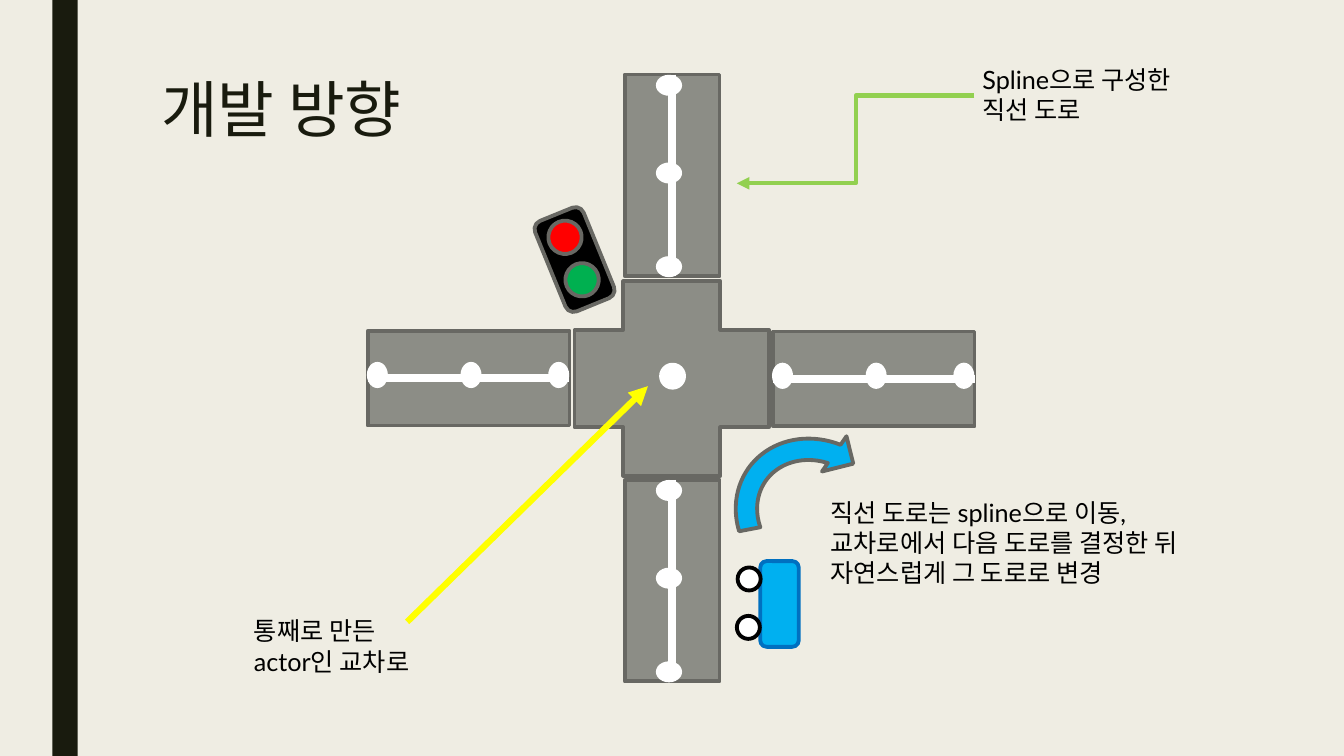
import pptx
import pptx.dml.color
import pptx.enum.shapes
import pptx.enum.text
import pptx.oxml.xmlchemy
import pptx.util

SHAPE = pptx.enum.shapes.MSO_SHAPE
CONNECTOR = pptx.enum.shapes.MSO_CONNECTOR
Cm = pptx.util.Cm

PAPER, INK = "EFEDE3", "191B0E"
ASPHALT, EDGE = "8C8D86", "686863"
WHITE, BLACK, SKY = "FFFFFF", "000000", "00B0F0"


def color(value):
    return pptx.dml.color.RGBColor.from_string(value)


class Sketch:
    """Style and current slide; all positions and sizes are centimetres."""

    font = "Lato"
    outline = 2.75

    def __init__(self, page):
        self.page = page
        page.background.fill.solid()
        page.background.fill.fore_color.rgb = color(PAPER)

    def shape(self, kind, left, top, width, height, fill, line=None, turn=0):
        shape = self.page.shapes.add_shape(
            kind, Cm(left), Cm(top), Cm(width), Cm(height))
        shape.shadow.inherit = False
        shape.rotation = turn
        shape.fill.solid()
        shape.fill.fore_color.rgb = color(fill)
        if line:
            shape.line.color.rgb = color(line)
            shape.line.width = pptx.util.Pt(self.outline)
        else:
            shape.line.fill.background()
        return shape

    def line(self, start, end, stroke, width, kind=CONNECTOR.STRAIGHT, arrow=False):
        points = [Cm(value) for value in (*start, *end)]
        line = self.page.shapes.add_connector(kind, *points)
        line.line.color.rgb = color(stroke)
        line.line.width = pptx.util.Pt(width)
        if arrow:
            head = pptx.oxml.xmlchemy.OxmlElement("a:tailEnd")
            head.set("type", "triangle")
            line.get_or_add_ln().append(head)
        line._element.spPr.append(pptx.oxml.xmlchemy.OxmlElement("a:effectLst"))

    def text(self, left, top, width, height, words, size=18, ink=BLACK,
             wrap=False, grow=True, spacing=None):
        box = self.page.shapes.add_textbox(Cm(left), Cm(top), Cm(width), Cm(height))
        frame = box.text_frame
        frame.text = words
        frame.word_wrap = wrap
        if grow:
            frame.auto_size = pptx.enum.text.MSO_AUTO_SIZE.SHAPE_TO_FIT_TEXT
        for para in frame.paragraphs:
            if spacing:
                para.line_spacing = spacing
            for span in para.runs:
                span.font.name = self.font
                span.font.size = pptx.util.Pt(size)
                span.font.color.rgb = color(ink)

    def road(self, x, y, across=False):
        """Straight road centred on x, y, with its spline and three points."""
        width, length = 2.39, 5.08
        dot_width, dot_height = 0.66, 0.53
        turn = 90 if across else 0
        self.shape(SHAPE.RECTANGLE, x - width / 2, y - length / 2,
                   width, length, ASPHALT, EDGE, turn)
        reach_x, reach_y = (length / 2, 0) if across else (0, length / 2)
        self.line((x - reach_x, y - reach_y), (x + reach_x, y + reach_y), WHITE, 6)
        side = -0.08
        for along in (-2.27, -0.06, 2.3):
            shift_x, shift_y = (-along, side) if across else (side, along)
            self.shape(SHAPE.OVAL, x + shift_x - dot_width / 2,
                       y + shift_y - dot_height / 2,
                       dot_width, dot_height, WHITE, turn=turn)


def main():
    deck = pptx.Presentation()
    deck.slide_width, deck.slide_height = Cm(33.87), Cm(19.05)
    sketch = Sketch(deck.slides.add_slide(deck.slide_layouts[6]))

    # Side band and title
    sketch.shape(SHAPE.RECTANGLE, 1.32, 0, 0.64, 19.05, INK)
    sketch.text(3.81, 1.9, 26.67, 4.11, "개발 방향", size=44, ink=INK,
                wrap=True, grow=False, spacing=0.89)

    # Four roads around the intersection
    for y in (4.42, 14.63):
        sketch.road(16.94, y)
    for x, y in ((22.02, 9.55), (11.81, 9.53)):
        sketch.road(x, y, across=True)
    sketch.shape(SHAPE.CROSS, 14.48, 7.09, 4.9, 4.9, ASPHALT, EDGE)
    sketch.shape(SHAPE.OVAL, 16.66, 9.19, 0.58, 0.58, WHITE, WHITE)

    # Pointers and labels
    sketch.line((24.56, 2.41), (18.57, 4.62), "92D050", 3, CONNECTOR.ELBOW, arrow=True)
    sketch.text(24.51, 1.5, 5.56, 1.8, "Spline으로 구성한\n직선 도로")
    sketch.line((10.26, 15.67), (16.33, 9.73), "FFFF00", 4.5, arrow=True)
    sketch.text(6.15, 15.39, 5.08, 1.8, "통째로 만든 actor인 교차로", wrap=True)

    # Traffic light
    tilt = 337.8
    sketch.shape(SHAPE.ROUNDED_RECTANGLE, 13.82, 5.31, 1.32, 2.46, BLACK, EDGE, tilt)
    for left, top, lamp in ((13.82, 5.56, "FF0000"), (14.25, 6.63, "00B050")):
        sketch.shape(SHAPE.OVAL, left, top, 0.84, 0.84, lamp, EDGE, tilt)

    # Car and its turn
    sketch.shape(SHAPE.ROUNDED_RECTANGLE, 19.16, 14.14, 0.97, 2.16, SKY, "0070C0")
    for left, top in ((18.59, 14.3), (18.57, 15.52)):
        sketch.shape(SHAPE.OVAL, left, top, 0.58, 0.58, WHITE, BLACK)
    turn_arrow = sketch.shape(SHAPE.CIRCULAR_ARROW, 18.42, 10.64, 4.32, 4.75,
                              SKY, EDGE, 304.8)
    for index, value in enumerate((0.125, 11.42, 204.58, 134.64, 0.125)):
        turn_arrow.adjustments[index] = value
    sketch.text(20.68, 12.4, 10.13, 2.57,
                "직선 도로는 spline으로 이동,\n"
                "교차로에서 다음 도로를 결정한 뒤\n"
                "자연스럽게 그 도로로 변경")

    deck.save("out.pptx")


if __name__ == "__main__":
    main()
